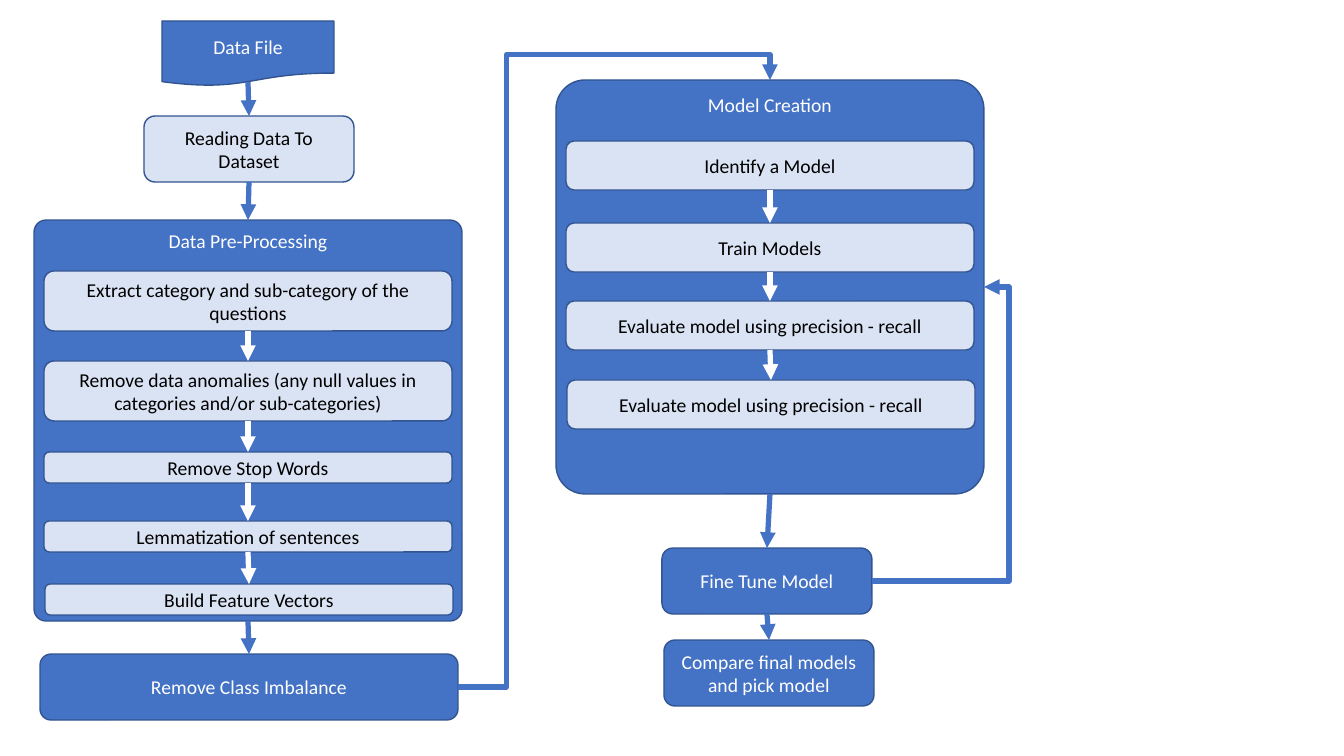
from lxml.etree import SubElement
from pptx import Presentation
from pptx.dml.color import RGBColor
from pptx.enum.shapes import MSO_CONNECTOR, MSO_SHAPE
from pptx.enum.text import MSO_ANCHOR, PP_ALIGN
from pptx.oxml.ns import qn
from pptx.util import Pt

PX = 914400 / 100.8
BLUE = RGBColor(0x44, 0x72, 0xC4)
PALE = RGBColor(0xDA, 0xE3, 0xF3)
EDGE = RGBColor(0x32, 0x54, 0x91)
WHITE = RGBColor(0xFF, 0xFF, 0xFF)
BLACK = RGBColor(0x00, 0x00, 0x00)
TOP, LEFT, BOTTOM, RIGHT = range(4)

prs = Presentation()
prs.slide_width, prs.slide_height = round(1344 * PX), round(756 * PX)
s = prs.slides.add_slide(prs.slide_layouts[6])


def add_box(text, x, y, w, h, fill=BLUE, kind=MSO_SHAPE.ROUNDED_RECTANGLE,
            radius=None, anchor=MSO_ANCHOR.MIDDLE):
    sp = s.shapes.add_shape(kind, *[round(v * PX) for v in (x, y, w, h)])
    sp.shadow.inherit = False
    sp.fill.solid()
    sp.fill.fore_color.rgb = fill
    sp.line.color.rgb = EDGE
    sp.line.width = Pt(1)
    if radius:
        sp.adjustments[0] = radius
    tf = sp.text_frame
    tf.word_wrap = True
    tf.vertical_anchor = anchor
    p = tf.paragraphs[0]
    p.alignment = PP_ALIGN.CENTER
    r = p.add_run()
    r.text = text
    r.font.size = Pt(14)
    r.font.name = "Calibri"
    r.font.color.rgb = BLACK if fill == PALE else WHITE
    return sp


def add_arrow(start, end, color=BLUE, sites=(BOTTOM, TOP), bends=()):
    kind = MSO_CONNECTOR.ELBOW if bends else MSO_CONNECTOR.STRAIGHT
    cx = s.shapes.add_connector(kind, 0, 0, 0, 0)
    cx.begin_connect(start, sites[0])
    cx.end_connect(end, sites[1])
    cx.line.color.rgb = color
    cx.line.width = Pt(3.75)
    spPr = cx._element.spPr
    SubElement(spPr.find(qn("a:ln")), qn("a:tailEnd"), type="triangle")
    SubElement(spPr, qn("a:effectLst"))
    if bends:
        geom = spPr.find(qn("a:prstGeom"))
        geom.set("prst", f"bentConnector{len(bends) + 2}")
        guides = geom.find(qn("a:avLst"))
        for i, bend in enumerate(bends, 1):
            SubElement(guides, qn("a:gd"), name=f"adj{i}", fmla=f"val {bend}")
    return cx


data_file = add_box("Data File", 162, 21, 172, 65, kind=MSO_SHAPE.FLOWCHART_DOCUMENT)
reading = add_box("Reading Data To Dataset", 144, 116, 210, 66, PALE)
preprocessing = add_box("Data Pre-Processing", 34, 220, 428, 401,
                        radius=0.03, anchor=MSO_ANCHOR.TOP)
imbalance = add_box("Remove Class Imbalance", 40, 654, 418, 66)
creation = add_box("Model Creation", 556, 80, 428, 414,
                   radius=0.07, anchor=MSO_ANCHOR.TOP)
fine_tune = add_box("Fine Tune Model", 662, 548, 210, 66)
compare = add_box("Compare final models and pick model", 664, 640, 210, 66)

preprocessing_steps = [
    ("Extract category and sub-category of the questions", 44, 271, 60),
    ("Remove data anomalies (any null values in categories and/or sub-categories)", 44, 361, 60),
    ("Remove Stop Words", 44, 452, 31),
    ("Lemmatization of sentences", 44, 521, 31),
    ("Build Feature Vectors", 45, 584, 31),
]
creation_steps = [
    ("Identify a Model", 566, 141, 49),
    ("Train Models", 566, 223, 49),
    ("Evaluate model using precision - recall", 566, 301, 49),
    ("Evaluate model using precision - recall", 567, 380, 49),
]
for steps in (preprocessing_steps, creation_steps):
    boxes = [add_box(text, x, y, 408, h, PALE) for text, x, y, h in steps]
    for start, end in zip(boxes, boxes[1:]):
        add_arrow(start, end, WHITE)

file_arrow = add_arrow(data_file, reading)
file_arrow.begin_y = round(82 * PX)
for start, end in [(reading, preprocessing), (preprocessing, imbalance),
                   (creation, fine_tune), (fine_tune, compare)]:
    add_arrow(start, end)
add_arrow(imbalance, creation, sites=(RIGHT, TOP), bends=(15600, 104200))
add_arrow(fine_tune, creation, sites=(RIGHT, RIGHT), bends=(122500,))

prs.save("out.pptx")
